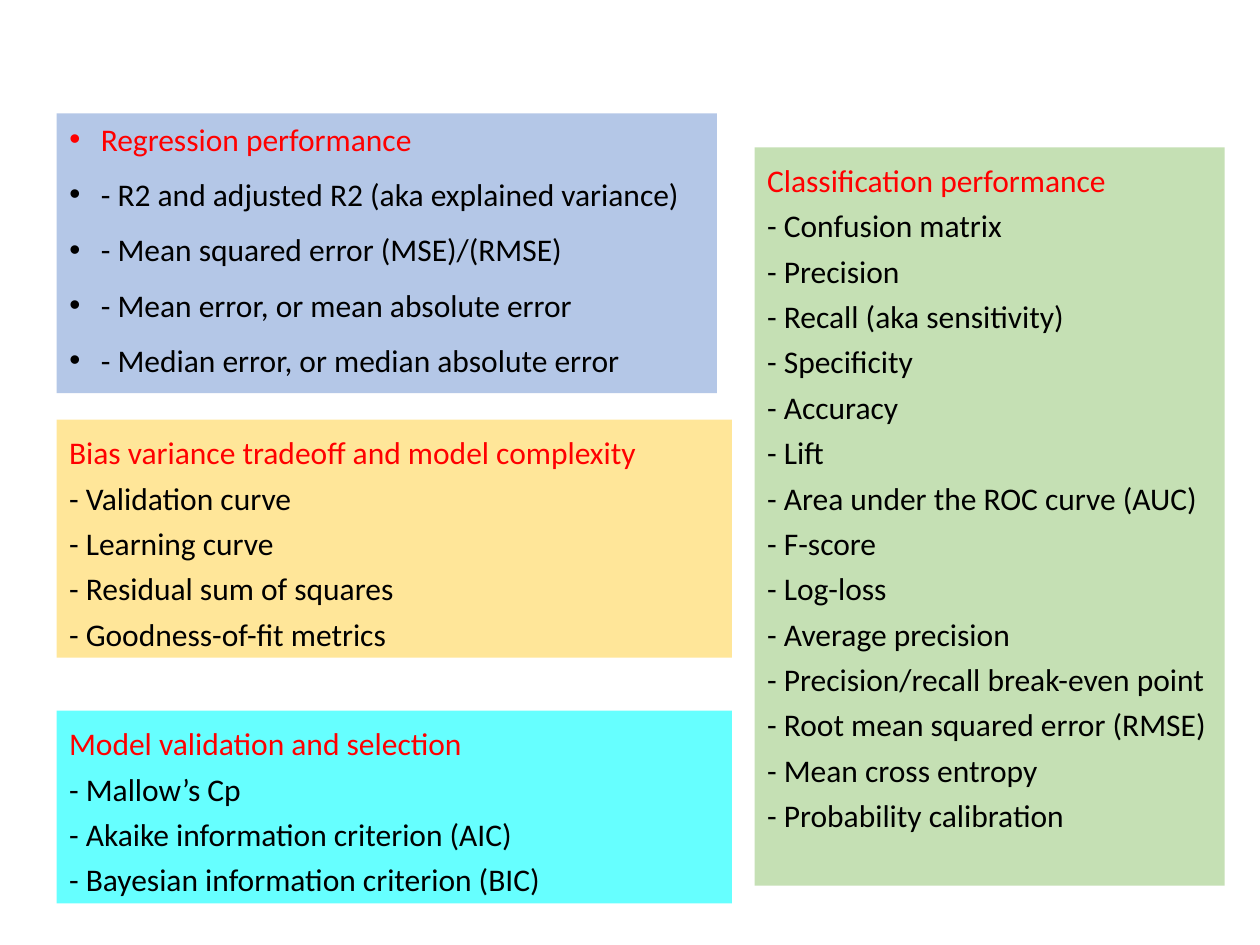
from lxml import etree
from pptx import Presentation
from pptx import util as u
from pptx.dml.color import RGBColor
from pptx.enum import text
from pptx.oxml import ns

RED = RGBColor(0xFF, 0x00, 0x00)
BLACK = RGBColor(0x00, 0x00, 0x00)
BLUE = RGBColor(0xB4, 0xC7, 0xE7)
GREEN = RGBColor(0xC5, 0xE0, 0xB4)
YELLOW = RGBColor(0xFF, 0xE6, 0x99)
CYAN = RGBColor(0x66, 0xFF, 0xFF)

deck = Presentation()
deck.slide_width, deck.slide_height = u.Inches(10), u.Inches(7.5)
slide = deck.slides.add_slide(deck.slide_layouts[1])
slide.shapes.title.element.getparent().remove(slide.shapes.title.element)

# Two columns: left edge and width in inches
LEFT, LEFT_WIDTH = 0.45, 5.36
RIGHT, RIGHT_WIDTH = 5.99, 3.73


def fill_panel(panel, color, heading, items, bulleted=False):
    """Colour a panel and write a red heading above its dashed items."""
    panel.fill.solid()
    panel.fill.fore_color.rgb = color
    frame = panel.text_frame
    frame.word_wrap = True
    frame.auto_size = text.MSO_AUTO_SIZE.NONE
    frame.vertical_anchor = text.MSO_ANCHOR.TOP
    for i, line in enumerate([heading] + [f"- {item}" for item in items]):
        paragraph = frame.paragraphs[0] if i == 0 else frame.add_paragraph()
        paragraph.text = line
        if bulleted:
            properties = paragraph._p.get_or_add_pPr()
            properties.set("marL", str(u.Inches(0.25)))
            properties.set("indent", str(u.Inches(-0.25)))
            etree.SubElement(properties, ns.qn("a:buChar"), char="•")
            paragraph.space_before = u.Pt(10 if i else 0)
        else:
            paragraph.line_spacing = 1.2
        paragraph.font.name = "Calibri"
        paragraph.font.size = u.Pt(18)
        paragraph.font.color.rgb = BLACK if i else RED


# Regression list in the body placeholder
regression = slide.placeholders[1]
regression.left, regression.top = u.Inches(LEFT), u.Inches(0.9)
regression.width, regression.height = u.Inches(5.24), u.Inches(2.22)
fill_panel(regression, BLUE, "Regression performance", [
    "R2 and adjusted R2 (aka explained variance)",
    "Mean squared error (MSE)/(RMSE)",
    "Mean error, or mean absolute error",
    "Median error, or median absolute error",
], bulleted=True)

# Remaining topics: left, top, width, height, colour, heading, items
topics = [
    (RIGHT, 1.17, RIGHT_WIDTH, 5.86, GREEN, "Classification performance", [
        "Confusion matrix", "Precision", "Recall (aka sensitivity)",
        "Specificity", "Accuracy", "Lift", "Area under the ROC curve (AUC)",
        "F-score", "Log-loss", "Average precision",
        "Precision/recall break-even point",
        "Root mean squared error (RMSE)", "Mean cross entropy",
        "Probability calibration"]),
    (LEFT, 3.33, LEFT_WIDTH, 1.89, YELLOW,
     "Bias variance tradeoff and model complexity", [
         "Validation curve", "Learning curve", "Residual sum of squares",
         "Goodness-of-fit metrics"]),
    (LEFT, 5.64, LEFT_WIDTH, 1.53, CYAN, "Model validation and selection", [
        "Mallow’s Cp", "Akaike information criterion (AIC)",
        "Bayesian information criterion (BIC)"]),
]
for left, top, width, height, color, heading, items in topics:
    topic = slide.shapes.add_textbox(*map(u.Inches, (left, top, width, height)))
    fill_panel(topic, color, heading, items)

deck.save("out.pptx")
